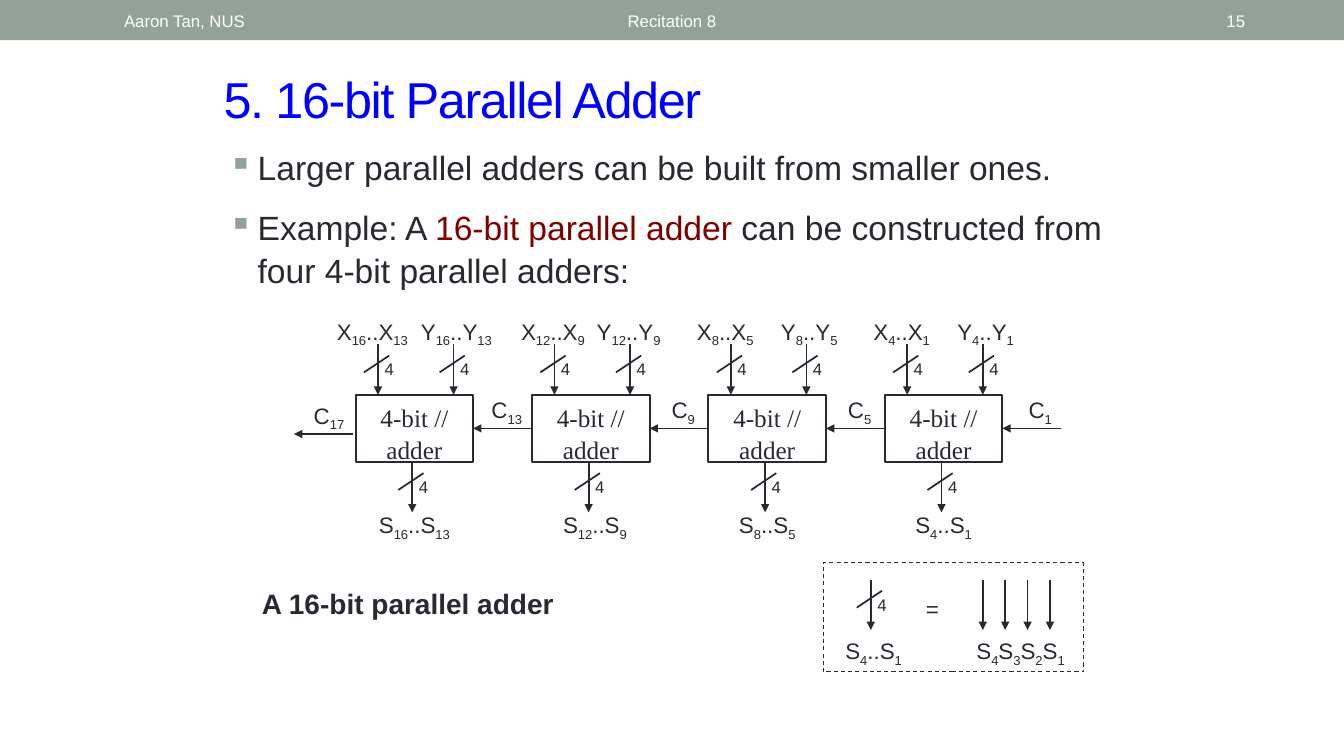
from lxml import etree
from pptx import Presentation
from pptx.dml.color import RGBColor
from pptx.enum.dml import MSO_LINE
from pptx.enum.shapes import MSO_CONNECTOR, MSO_SHAPE
from pptx.enum.text import MSO_ANCHOR, MSO_AUTO_SIZE, PP_ALIGN
from pptx.oxml.ns import qn
from pptx.util import Pt

RECTANGLE = MSO_SHAPE.RECTANGLE
STRAIGHT = MSO_CONNECTOR.STRAIGHT
DASH = MSO_LINE.DASH
TOP, MIDDLE = MSO_ANCHOR.TOP, MSO_ANCHOR.MIDDLE
LEFT, CENTER, RIGHT = PP_ALIGN.LEFT, PP_ALIGN.CENTER, PP_ALIGN.RIGHT
NO_AUTOFIT = MSO_AUTO_SIZE.NONE
INK, SAGE, WHITE, BLUE, MAROON = "292934", "93A299", "FFFFFF", "0000FF", "800000"
rgb = RGBColor.from_string

deck = Presentation()
deck.slide_width, deck.slide_height = Pt(960), Pt(540)
slide = deck.slides.add_slide(deck.slide_layouts[5])
shapes = slide.shapes


def write(text, place, shape=None, size=16, color=INK, font="Arial", bold=False,
          align=CENTER, anchor=TOP, side=7.2, spacing=1.07, before=0,
          accent=None, bullet=None, tracking=None):
    left, top, width, height = map(Pt, place)
    shape = shape or shapes.add_textbox(left, top, width, height)
    shape.left, shape.top, shape.width, shape.height = left, top, width, height
    frame = shape.text_frame
    frame.word_wrap = True
    frame.auto_size = NO_AUTOFIT
    frame.vertical_anchor = anchor
    frame.margin_left = frame.margin_right = Pt(side)
    frame.margin_top = frame.margin_bottom = Pt(3.6)
    for number, line in enumerate(text.split("\n")):
        paragraph = frame.add_paragraph() if number else frame.paragraphs[0]
        paragraph.alignment = align
        paragraph.line_spacing = spacing
        paragraph.space_before = Pt(before if number else 0)
        if bullet:
            properties = paragraph._p.get_or_add_pPr()
            properties.set("marL", str(Pt(21)))
            properties.set("indent", str(-Pt(21)))
            bullet_color = etree.SubElement(properties, qn("a:buClr"))
            etree.SubElement(bullet_color, qn("a:srgbClr"), val=SAGE)
            etree.SubElement(properties, qn("a:buChar"), char=bullet)
        for part, words in enumerate(line.split("|")):
            if not words:
                continue
            run = paragraph.add_run()
            run.text = words
            run.font.size, run.font.name, run.font.bold = Pt(size), font, bold
            marked = part % 2 == 1
            run.font.color.rgb = rgb(accent if marked and accent else color)
            if marked and not accent:
                run.font._element.set("baseline", "-25000")
            if tracking:
                run.font._element.set("spc", str(tracking * 100))
    return shape


def wire(x1, y1, x2, y2, arrow=True):
    line = shapes.add_connector(STRAIGHT, Pt(x1), Pt(y1), Pt(x2), Pt(y2))
    line.line.width = Pt(1.25)
    line.line.color.rgb = rgb(INK)
    if arrow:
        etree.SubElement(line.line._get_or_add_ln(), qn("a:tailEnd"), type="triangle")
    etree.SubElement(line._element.spPr, qn("a:effectLst"))
    return line


header = shapes.add_shape(RECTANGLE, 0, 0, Pt(960), Pt(28.8))
header.shadow.inherit = False
header.fill.solid()
header.fill.fore_color.rgb = rgb(SAGE)
header.line.fill.background()
for text, left, width, align in (
    ("Recitation 8", 217.5, 525, CENTER),
    ("Aaron Tan, NUS", 81.5, 228, LEFT),
    ("15", 828, 68.5, RIGHT),
):
    write(text, (left, 1.5, width, 26), size=12, color=WHITE, align=align,
          anchor=MIDDLE, spacing=1)

title = write("5. 16-bit Parallel Adder", (152.5, 41, 663, 50.4), shapes.title, size=36,
              color=BLUE, align=LEFT, anchor=MIDDLE, spacing=1, tracking=-1)
title.text_frame.margin_top, title.text_frame.margin_bottom = Pt(8), 0

write("Larger parallel adders can be built from smaller ones.\n"
      "Example: A |16-bit parallel adder| can be constructed from four 4-bit parallel adders:",
      (156, 99.5, 648, 356), size=24, align=LEFT, before=12, accent=MAROON, bullet="▪")

ADDER_TOP, ADDER_WIDTH, ADDER_HEIGHT = 282, 84, 48
CARRY_Y = ADDER_TOP + ADDER_HEIGHT / 2
buses = [(622, 414)]
adders = []
for index, (high, low, label_width, nudge, carry_left) in enumerate((
    (16, 13, 72, 0, 341),
    (12, 9, 66, 3, 467),
    (8, 5, 60, 0, 593),
    (4, 1, 60, 0, 722),
)):
    left = 254 + 126 * index
    adder = shapes.add_shape(RECTANGLE, Pt(left), Pt(ADDER_TOP), Pt(ADDER_WIDTH), Pt(ADDER_HEIGHT))
    adder.shadow.inherit = False
    adder.fill.background()
    adder.line.color.rgb = rgb(INK)
    adder.line.width = Pt(1.5)
    write("4-bit // adder", (left, ADDER_TOP, ADDER_WIDTH, ADDER_HEIGHT), adder,
          size=18, font="Times New Roman")
    adders.append(adder)
    for signal, middle, top in (("X", 12 + nudge, 222), ("Y", 72 - nudge, 222), ("S", 42 + nudge, 360)):
        write(f"{signal}|{high}|..{signal}|{low}|",
              (left + middle - label_width / 2, top, label_width, 27))
    write(f"C|{low}|", (carry_left, 278, 42, 27))
    buses += [(left + 16, 246), (left + 70, 246), (left + 40.5, 330)]

for index, adder in enumerate(adders):
    right = 338 + 126 * index
    carry = wire(right + 42, CARRY_Y, right, CARRY_Y)
    if index < 3:
        carry.begin_connect(adders[index + 1], 1)
    carry.end_connect(adder, 3)
wire(252, 310, 210, 310)
write("C|17|", (214, 282, 42, 27))

for x, y in buses:
    wire(x, y, x, y + 36)
    wire(x + 8, y + 8, x - 10, y + 20, arrow=False)
    write("4", (x - 4, y + 6, 24, 22), size=12)

write("A 16-bit parallel adder", (180, 414, 228, 31), size=20, bold=True, align=LEFT)

legend = shapes.add_shape(RECTANGLE, Pt(588), Pt(402), Pt(186), Pt(78))
legend.shadow.inherit = False
legend.fill.background()
legend.line.color.rgb = rgb(INK)
legend.line.width = Pt(0.75)
legend.line.dash_style = DASH
write("S|4|..S|1|", (594, 450, 60, 27))
write("=", (648, 420, 36, 27), side=1)
write("S|4|S|3|S|2|S|1|", (690, 450, 78, 27), side=1)
for bit in range(4):
    x = 702 + 16 * bit
    wire(x, 414, x, 450)

deck.save("out.pptx")
